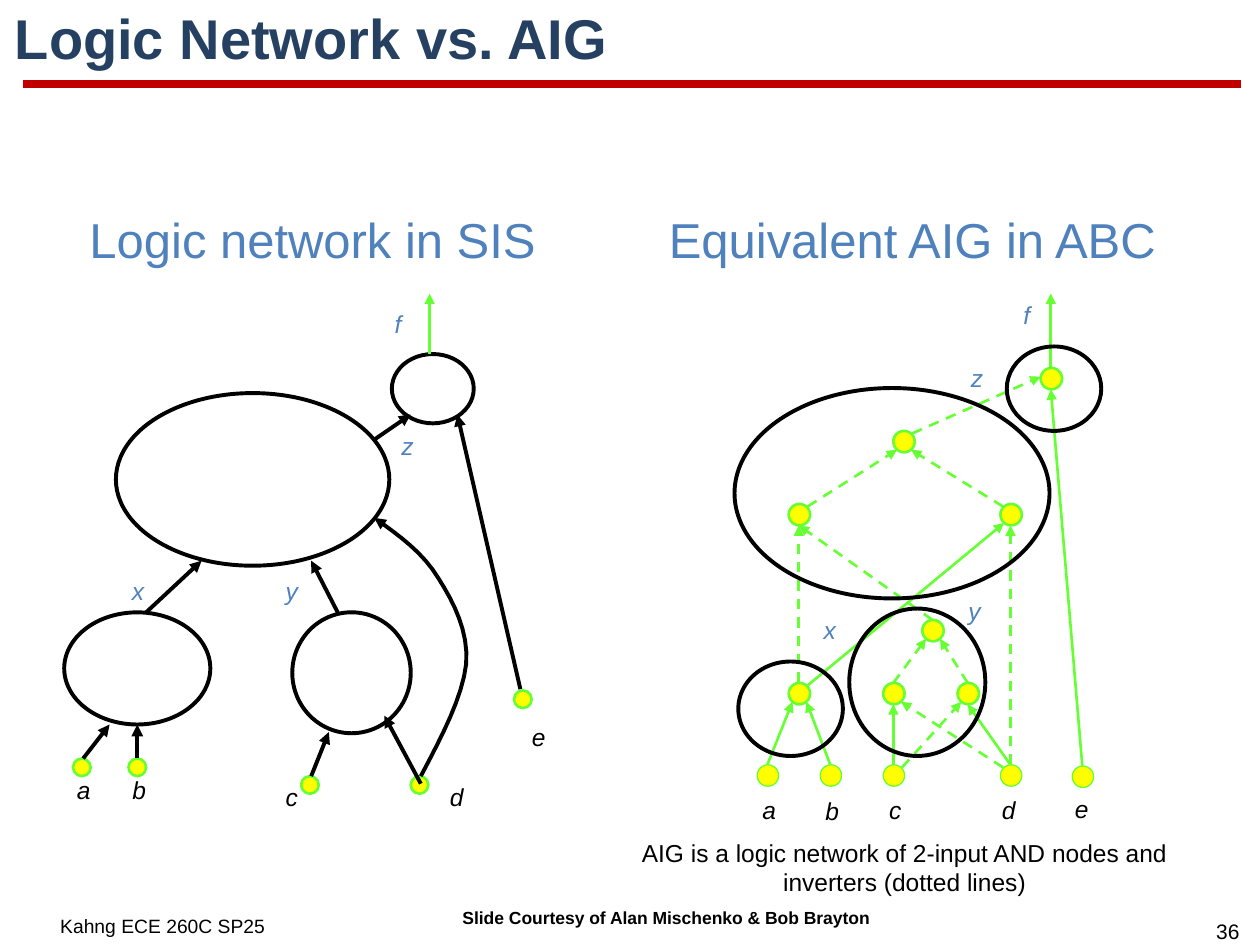
from lxml import etree
from pptx import Presentation
from pptx import util as u
from pptx.dml.color import RGBColor
from pptx.enum import dml, shapes, text
from pptx.oxml import ns

PX = 9144
BLACK = RGBColor(0x00, 0x00, 0x00)
RED = RGBColor(0xC0, 0x00, 0x00)
NAVY = RGBColor(0x25, 0x40, 0x61)
BLUE = RGBColor(0x4F, 0x81, 0xBD)
GREEN = RGBColor(0x66, 0xFF, 0x33)
YELLOW = RGBColor(0xFF, 0xFF, 0x00)
ANCHORS = {"T": (8, 0), "B": (8, 17), "W": (0, 7), "NW": (2, 2),
           "NE": (15, 2), "SW": (3, 15), "SE": (14, 15)}


def add_text(page, words, left, top, width, height, size=14, color=BLACK, bold=False,
             italic=False, align=text.PP_ALIGN.LEFT, anchor=text.MSO_ANCHOR.TOP,
             wrap=True, spacing=1.0, inset=(10, 5)):
    """Place one formatted paragraph in a text box."""
    box = page.shapes.add_textbox(left * PX, top * PX, width * PX, height * PX)
    frame = box.text_frame
    frame.word_wrap = wrap
    frame.vertical_anchor = anchor
    frame.margin_left = frame.margin_right = inset[0] * PX
    frame.margin_top = frame.margin_bottom = inset[1] * PX
    para = frame.paragraphs[0]
    para.alignment = align
    para.line_spacing = spacing
    span = para.add_run()
    span.text = words
    span.font.name = "Arial"
    span.font.size = u.Pt(size)
    span.font.bold = bold
    span.font.italic = italic
    span.font.color.rgb = color


def add_labels(page, left, top, labels, color):
    """Place italic signal names given as name, x and y."""
    for name, x, y in labels:
        add_text(page, name, left + x, top + y, 26 if name == "f" else 31, 34,
                 color=color, italic=True, align=text.PP_ALIGN.CENTER, wrap=False)


def add_arrowhead(shape):
    """Put a triangle at the end of a line."""
    etree.SubElement(shape.line._get_or_add_ln(), ns.qn("a:tailEnd"), type="triangle")


def add_line(page, start, end, color, weight, dashed=False, arrow=True):
    """Draw a straight line between two points."""
    line = page.shapes.add_connector(shapes.MSO_CONNECTOR.STRAIGHT,
                                     *(value * PX for value in (*start, *end)))
    line.line.color.rgb = color
    line.line.width = u.Pt(weight)
    if dashed:
        line.line.dash_style = dml.MSO_LINE.DASH
    if arrow:
        add_arrowhead(line)
    etree.SubElement(line._element.spPr, ns.qn("a:effectLst"))


def add_oval(page, left, top, width, height, fill=None, color=BLACK, weight=2.25):
    """Draw an ellipse, hollow unless a fill is given."""
    oval = page.shapes.add_shape(shapes.MSO_SHAPE.OVAL, left * PX, top * PX,
                                 width * PX, height * PX)
    oval.shadow.inherit = False
    if fill is None:
        oval.fill.background()
    else:
        oval.fill.solid()
        oval.fill.fore_color.rgb = fill
    oval.line.color.rgb = color
    oval.line.width = u.Pt(weight)


def bezier_point(points, t):
    """Return the point at t on a cubic curve."""
    weights = ((1 - t) ** 3, 3 * t * (1 - t) ** 2, 3 * t * t * (1 - t), t ** 3)
    return tuple(sum(w * point[axis] for w, point in zip(weights, points))
                 for axis in (0, 1))


def add_curve(page, left, top, knots, steps=8):
    """Draw a black arrow along chained cubic curves."""
    track = [bezier_point(knots[first:first + 4], step / steps)
             for first in range(0, len(knots) - 1, 3) for step in range(1, steps + 1)]
    track = [(round((left + x) * PX), round((top + y) * PX)) for x, y in track]
    builder = page.shapes.build_freeform((left + knots[0][0]) * PX,
                                         (top + knots[0][1]) * PX)
    builder.add_line_segments(track, close=False)
    curve = builder.convert_to_shape()
    curve.shadow.inherit = False
    curve.fill.background()
    curve.line.color.rgb = BLACK
    curve.line.width = u.Pt(2.25)
    add_arrowhead(curve)


def add_frame(page):
    """Place the title, rule and footer."""
    add_line(page, (18, 67), (985, 67), RED, 4.5, arrow=False)
    add_text(page, "Logic Network vs. AIG", 2, 8, 993, 49, size=32, color=NAVY,
             bold=True, anchor=text.MSO_ANCHOR.MIDDLE, spacing=0.9)
    add_text(page, "Kahng ECE 260C SP25", 38, 721, 187, 27, size=11)
    add_text(page, "Slide Courtesy of Alan Mischenko & Bob Brayton", 360, 717, 408, 22,
             size=10, bold=True, inset=(7, 3))
    add_text(page, "36", 950, 724, 49, 30, size=12, align=text.PP_ALIGN.CENTER)


def add_logic_network(page, left, top):
    """Draw the logic network of large nodes."""
    add_text(page, "Logic network in SIS", left + 9, top + 11, 378, 57, size=28,
             color=BLUE, align=text.PP_ALIGN.CENTER, wrap=False)
    for x, y, width, height in ((42, 162, 217, 137), (1, 336, 116, 89),
                                (182, 336, 94, 96), (261, 131, 65, 55)):
        add_oval(page, left + x, top + y, width, height)
    for x, y in ((8, 452), (52, 452), (189, 466), (276, 466), (358, 398)):
        add_oval(page, left + x, top + y, 14, 14, YELLOW, GREEN, 1.5)
    for x1, y1, x2, y2 in ((66, 336, 110, 295), (218, 336, 197, 295),
                           (247, 199, 276, 179), (363, 397, 313, 179),
                           (16, 452, 37, 425), (59, 452, 59, 425),
                           (197, 466, 211, 431), (284, 472, 255, 418)):
        add_line(page, (left + x1, top + y1), (left + x2, top + y2), BLACK, 2.25)
    add_line(page, (left + 291, top + 131), (left + 291, top + 83), GREEN, 1.5)
    add_curve(page, left, top, [(284, 466), (301, 434), (317, 403), (320, 377),
                                (322, 351), (310, 328), (298, 309),
                                (286, 289), (267, 275), (247, 261)])
    add_labels(page, left, top, (("a", 1, 460), ("b", 45, 460), ("c", 166, 466),
                                 ("d", 297, 466), ("e", 362, 418)), BLACK)
    add_labels(page, left, top, (("x", 44, 302), ("y", 166, 302), ("f", 253, 90),
                                 ("z", 258, 187)), BLUE)


def add_aig(page, left, top):
    """Draw the graph of AND nodes and inverters."""
    add_text(page, "Equivalent AIG in ABC", left + 21, top + 11, 417, 57, size=28,
             color=BLUE)
    inputs = {"a": (101, 457), "b": (151, 457), "c": (201, 457), "d": (294, 457),
              "e": (351, 458)}
    gates = {"x": (126, 392), "c and d": (201, 392), "not c or d": (260, 392),
             "y": (232, 342), "low": (126, 250), "high": (294, 250),
             "z": (209, 192), "f": (326, 142)}
    nodes = {**inputs, **gates}

    def locate(name, side):
        """Return the page position of one side of a node."""
        return (left + nodes[name][0] + ANCHORS[side][0],
                top + nodes[name][1] + ANCHORS[side][1])

    plain = (("a", "T", "x", "SW"), ("b", "T", "x", "SE"), ("c", "T", "c and d", "B"),
             ("d", "T", "not c or d", "B"), ("x", "NE", "high", "SW"),
             ("e", "T", "f", "B"))
    inverted = (("d", "NW", "c and d", "SE"), ("c", "NE", "not c or d", "SW"),
                ("c and d", "T", "y", "SW"), ("not c or d", "T", "y", "SE"),
                ("x", "T", "low", "B"), ("y", "T", "low", "B"), ("d", "T", "high", "B"),
                ("low", "NE", "z", "SW"), ("high", "NW", "z", "SE"),
                ("z", "NE", "f", "W"))
    for edges, dashed in ((plain, False), (inverted, True)):
        for source, leave, target, enter in edges:
            add_line(page, locate(source, leave), locate(target, enter), GREEN, 1.5, dashed)
    add_line(page, locate("f", "T"), (left + 334, top + 83), GREEN, 1.5)
    for group, weight in ((inputs, 0.75), (gates, 1.5)):
        for x, y in group.values():
            add_oval(page, left + x, top + y, 17, 17, YELLOW, GREEN, weight)
    for x, y, width, height in ((83, 158, 250, 167), (86, 375, 83, 75),
                                (174, 333, 108, 117), (299, 125, 75, 67)):
        add_oval(page, left + x, top + y, width, height)
    add_labels(page, left, top, (("a", 95, 476), ("b", 145, 477), ("c", 195, 476),
                                 ("d", 285, 476), ("e", 343, 475)), BLACK)
    add_labels(page, left, top, (("x", 143, 333), ("y", 258, 318), ("z", 260, 133),
                                 ("f", 302, 83)), BLUE)
    add_text(page, "AIG is a logic network of 2-input AND nodes and inverters (dotted lines)",
             left - 12, top + 510, 460, 57, align=text.PP_ALIGN.CENTER)


def main():
    """Build and save the slide."""
    deck = Presentation()
    deck.slide_width, deck.slide_height = 1000 * PX, 750 * PX
    page = deck.slides.add_slide(deck.slide_layouts[6])
    add_frame(page)
    add_aig(page, 500, 150)
    add_logic_network(page, 50, 150)
    deck.save("out.pptx")


if __name__ == "__main__":
    main()
